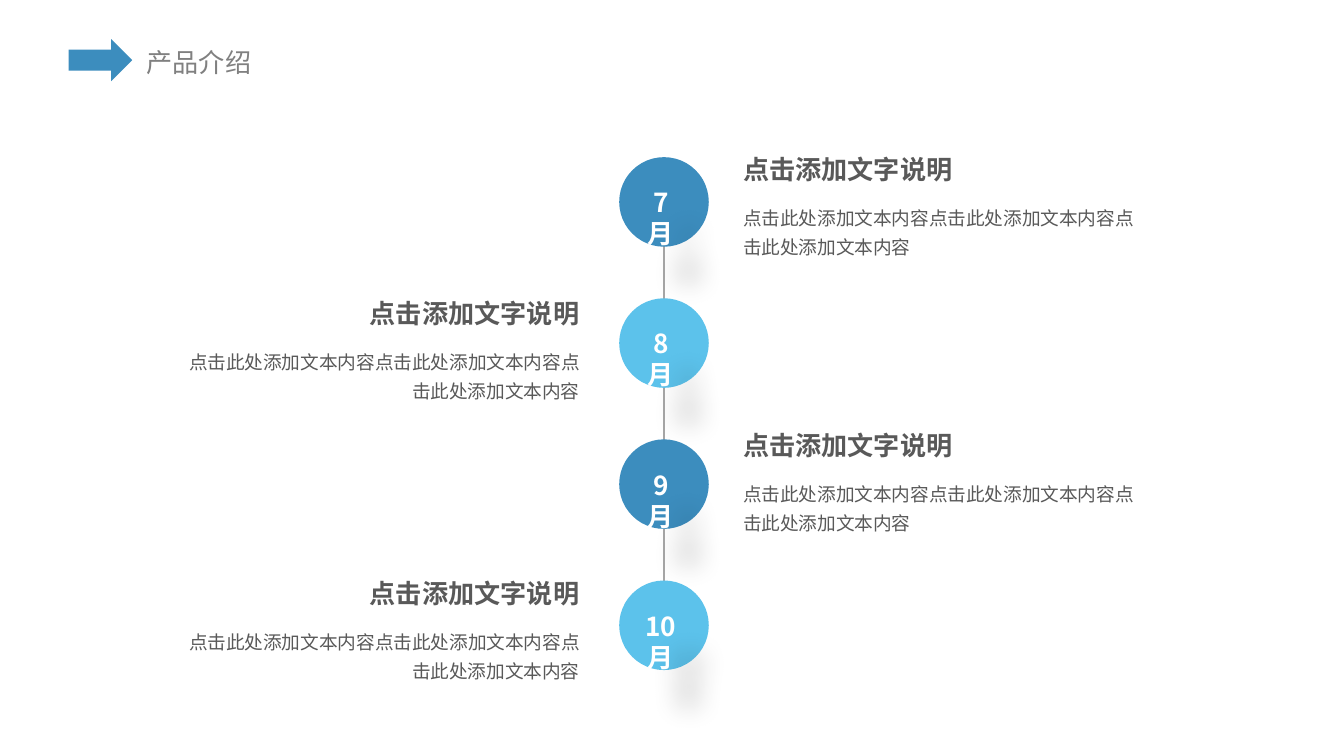
from lxml import etree
from pptx import Presentation
from pptx.dml.color import RGBColor
from pptx.enum import shapes, text
from pptx.oxml import ns
from pptx.util import Pt

FONT = "Noto Sans CJK SC"
BLUE = RGBColor(0x3C, 0x8D, 0xBE)
SKY = RGBColor(0x5C, 0xC2, 0xEB)
TITLE_GRAY = RGBColor(0x80, 0x80, 0x80)
TEXT_GRAY = RGBColor(0x59, 0x59, 0x59)
LINE_GRAY = RGBColor(0xA6, 0xA6, 0xA6)
WHITE = RGBColor(0xFF, 0xFF, 0xFF)

LEFT, CENTER, RIGHT = text.PP_ALIGN.LEFT, text.PP_ALIGN.CENTER, text.PP_ALIGN.RIGHT
HEADING = "点击添加文字说明"
BODY = "点击此处添加文本内容" * 3
CIRCLE = 48
CIRCLE_LEFT, CIRCLE_TOP, STEP = 331.7, 84.2, 75.6
RIGHT_COLUMN, LEFT_COLUMN, COLUMN_WIDTH = 391, 87.8, 229.7

# Month, circle colour, column, heading top, alignment
MONTHS = [
    ("7月", BLUE, RIGHT_COLUMN, 79, LEFT),
    ("8月", SKY, LEFT_COLUMN, 156, RIGHT),
    ("9月", BLUE, RIGHT_COLUMN, 226.6, LEFT),
    ("10月", SKY, LEFT_COLUMN, 305.8, RIGHT),
]


def points(*values):
    return [Pt(value) for value in values]


def add_effects(shape):
    return etree.SubElement(shape._element.spPr, ns.qn("a:effectLst"))


def write(shape, words, size, color, align=LEFT, bold=False, spacing=None, side=7.2, wrap=True):
    frame = shape.text_frame
    frame_format = {
        "word_wrap": wrap, "auto_size": text.MSO_AUTO_SIZE.NONE,
        "vertical_anchor": text.MSO_ANCHOR.TOP,
        "margin_left": Pt(side), "margin_right": Pt(side),
        "margin_top": Pt(3.6), "margin_bottom": Pt(3.6),
    }
    for name, value in frame_format.items():
        setattr(frame, name, value)
    para = frame.paragraphs[0]
    para.alignment = align
    para.space_before = Pt(0)
    if spacing:
        para.line_spacing = Pt(spacing)
    span = para.add_run()
    span.text = words
    for name, value in {"name": FONT, "size": Pt(size), "bold": bold}.items():
        setattr(span.font, name, value)
    span.font.color.rgb = color
    east_asian = etree.SubElement(span._r.get_or_add_rPr(), ns.qn("a:ea"))
    east_asian.set("typeface", FONT)


def add_text(page, place, *args, **options):
    box = page.shapes.add_textbox(*points(*place))
    write(box, *args, **options)
    return box


def add_filled(page, kind, place, color):
    shape = page.shapes.add_shape(kind, *points(*place))
    shape.shadow.inherit = False
    shape.fill.solid()
    shape.fill.fore_color.rgb = color
    shape.line.fill.background()


def add_soft_shadow(shape):
    shadow = etree.SubElement(add_effects(shape), ns.qn("a:outerShdw"))
    for name, value in {"blurRad": Pt(15), "dist": Pt(25), "dir": 54 * 60000}.items():
        shadow.set(name, str(int(value)))
    black = etree.SubElement(shadow, ns.qn("a:srgbClr"), val="000000")
    etree.SubElement(black, ns.qn("a:alpha"), val="35000")


def add_header(page):
    title = page.shapes.title
    title.left, title.top, title.width, title.height = points(70.6, 21.2, 72, 24.5)
    write(title, "产品介绍", 14, TITLE_GRAY, spacing=16.6, side=7.9, wrap=False)
    add_filled(page, shapes.MSO_SHAPE.RIGHT_ARROW, (36.7, 21, 34.1, 22.5), BLUE)


def add_timeline(page):
    middle = CIRCLE_LEFT + CIRCLE / 2
    line = page.shapes.add_connector(
        shapes.MSO_CONNECTOR.STRAIGHT, *points(middle, 112.3, middle, 339.1))
    line.line.color.rgb = LINE_GRAY
    line.line.width = Pt(1)
    add_effects(line)


def add_month(page, index, month, color, column, top, align):
    circle_top = CIRCLE_TOP + index * STEP
    add_filled(page, shapes.MSO_SHAPE.OVAL, (CIRCLE_LEFT, circle_top, CIRCLE, CIRCLE), color)
    # The narrow label puts the number above the month sign
    label = add_text(page, (344, circle_top + 12.5, 20, 40), month, 14, WHITE,
                     align=CENTER, bold=True, spacing=16.6, side=0)
    add_soft_shadow(label)
    add_text(page, (column, top, COLUMN_WIDTH, 24.5), HEADING, 14, TEXT_GRAY,
             align=align, bold=True, spacing=16.6)
    add_text(page, (column, top + 25, COLUMN_WIDTH, 39), BODY, 10, TEXT_GRAY,
             align=align, spacing=15.5)


def main():
    deck = Presentation()
    deck.slide_width, deck.slide_height = points(720, 405)
    page = deck.slides.add_slide(deck.slide_layouts[5])
    add_header(page)
    add_timeline(page)
    for index, month in enumerate(MONTHS):
        add_month(page, index, *month)
    deck.save("out.pptx")


if __name__ == "__main__":
    main()
